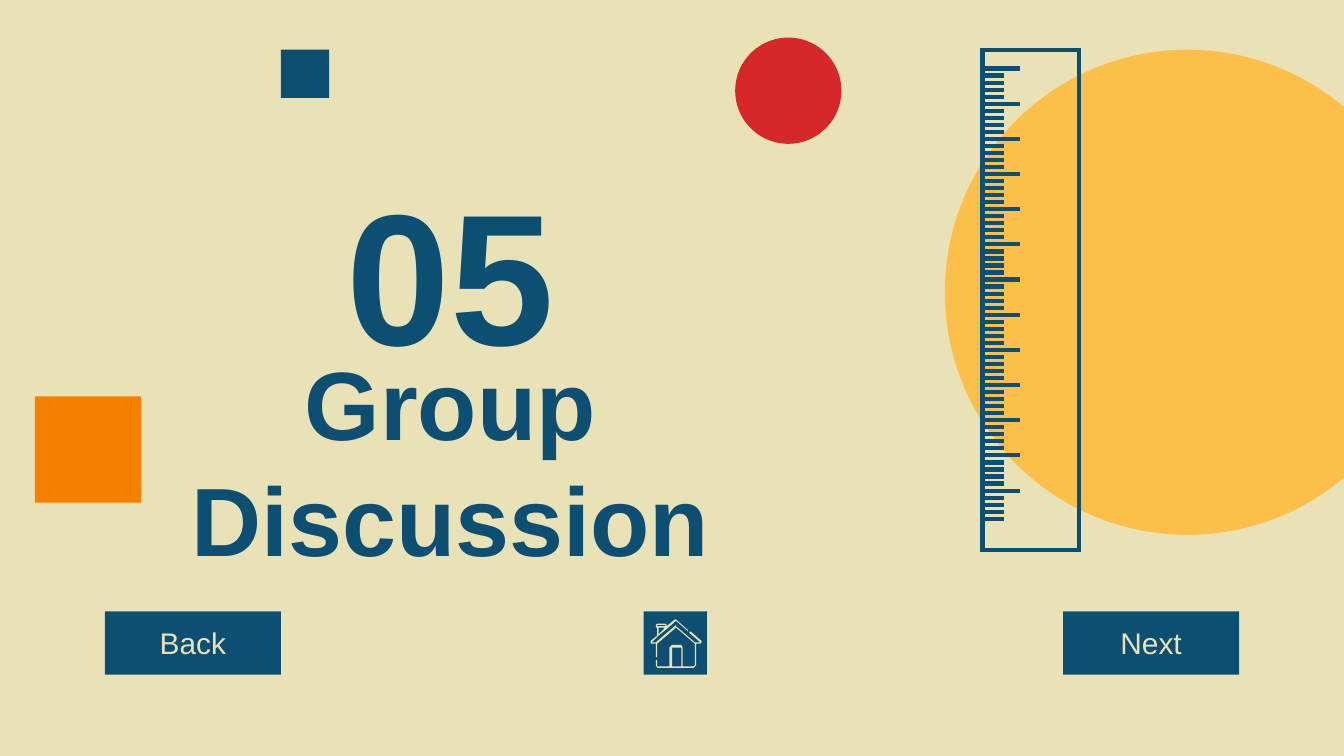
"""Build the section slide "05 Group Discussion" with a ruler and navigation buttons."""
from lxml import etree
from pptx import Presentation
from pptx.dml.color import RGBColor
from pptx.enum.shapes import MSO_CONNECTOR, MSO_SHAPE
from pptx.enum.text import MSO_ANCHOR, MSO_AUTO_SIZE, PP_ALIGN
from pptx.oxml.ns import qn
from pptx.util import Inches, Pt

RECT, OVAL = MSO_SHAPE.RECTANGLE, MSO_SHAPE.OVAL
STRAIGHT = MSO_CONNECTOR.STRAIGHT
MIDDLE, CENTER, NO_FIT = MSO_ANCHOR.MIDDLE, PP_ALIGN.CENTER, MSO_AUTO_SIZE.NONE
COLORS = {"sand": "EAE2B7", "navy": "0C4F72", "amber": "FCBF49",
          "orange": "F77F00", "red": "D62828"}


def color(name):
    return RGBColor.from_string(COLORS[name])


def write(shape, text, size, name, bold):
    tf = shape.text_frame
    margins = {f"margin_{side}": Inches(0.1) for side in ("left", "top", "right", "bottom")}
    frame = {"word_wrap": True, "auto_size": NO_FIT, "vertical_anchor": MIDDLE, **margins}
    for key, value in frame.items():
        setattr(tf, key, value)
    p = tf.paragraphs[0]
    for key, value in {"alignment": CENTER, "space_before": Pt(0), "line_spacing": 1.0}.items():
        setattr(p, key, value)
    r = p.add_run()
    r.text = text
    for key, value in {"name": "Arial", "size": Pt(size), "bold": bold}.items():
        setattr(r.font, key, value)
    r.font.color.rgb = color(name)


prs = Presentation()
prs.slide_width, prs.slide_height = Inches(10), Inches(10 * 9 / 16)
s = prs.slides.add_slide(prs.slide_layouts[0])
s.background.fill.solid()
s.background.fill.fore_color.rgb = color("sand")

headings = [
    (s.shapes.title, "Group Discussion", 52, (0.94, 2.7, 4.82, 1.44)),
    (s.placeholders[1], "05", 100, (1.23, 1.41, 4.24, 1.21)),
]
for sp, text, size, box in headings:
    sp.left, sp.top, sp.width, sp.height = map(Inches, box)
    write(sp, text, size, "navy", True)

sun = s.shapes.add_shape(OVAL, *map(Inches, (7.03, 0.37, 3.61, 3.61)))
sun.shadow.inherit = False
sun.fill.solid()
sun.fill.fore_color.rgb = color("amber")
sun.line.fill.background()

ruler = s.shapes.add_group_shape()
body = ruler.shapes.add_shape(RECT, *map(Inches, (7.31, 0.37, 0.72, 3.72)))
body.shadow.inherit = False
body.fill.background()
body.line.color.rgb = color("navy")
body.line.width = Pt(2.25)
etree.SubElement(body.line._get_or_add_ln(), qn("a:miter"), lim="800000")
for i in range(65):
    y = 0.51 + 3.35 * i / 64
    length = 0.15 if i % 5 else 0.27
    tick = ruler.shapes.add_connector(STRAIGHT, *map(Inches, (7.32, y, 7.32 + length, y)))
    tick.line.color.rgb = color("navy")
    tick.line.width = Pt(2.25)
    etree.SubElement(tick._element.spPr, qn("a:effectLst"))

blocks = [
    (RECT, (0.26, 2.95, 0.79, 0.79), "orange", ""),
    (OVAL, (5.47, 0.28, 0.79, 0.79), "red", ""),
    (RECT, (2.09, 0.37, 0.36, 0.36), "navy", ""),
    (RECT, (0.78, 4.55, 1.31, 0.47), "navy", "Back"),
    (RECT, (4.79, 4.55, 0.47, 0.47), "navy", ""),
    (RECT, (7.91, 4.55, 1.31, 0.47), "navy", "Next"),
]
for kind, box, fill, text in blocks:
    sp = s.shapes.add_shape(kind, *map(Inches, box))
    sp.shadow.inherit = False
    sp.fill.solid()
    sp.fill.fore_color.rgb = color(fill)
    sp.line.fill.background()
    if text:
        write(sp, text, 16, "sand", False)

chimney_cap = [(495, 465), (495, 466), (489, 466), (489, 465)]
chimney = [(494, 467), (494, 468), (490, 472), (490, 467)]
door = [(507, 482), (507, 496), (500, 496), (500, 482)]
house = [
    (503, 461), (502, 461), (496, 466), (496, 465), (495, 464), (489, 464), (488, 465),
    (488, 467), (489, 467), (489, 473), (484, 477), (484, 479), (488, 479), (488, 489),
    (489, 489), (489, 479), (503, 467), (517, 479), (517, 495), (516, 496), (508, 496),
    (508, 482), (507, 480), (500, 480), (498, 482), (498, 496), (489, 496), (489, 491),
    (488, 491), (488, 495), (489, 497), (516, 497), (518, 495), (518, 479), (521, 479),
    (522, 478), (522, 477), (514, 470), (513, 470), (513, 471), (521, 478), (517, 478),
    (503, 466), (503, 465), (502, 466), (488, 478), (485, 478), (490, 473), (495, 469),
    (503, 462), (511, 469), (512, 470), (512, 469),
]
pen = s.shapes.build_freeform(*house[0], scale=Inches(0.01))
pen.add_line_segments(house[1:], close=True)
for outline in (chimney_cap, chimney, door):
    pen.move_to(*outline[0])
    pen.add_line_segments(outline[1:], close=True)
home = pen.convert_to_shape()
home.shadow.inherit = False
home.fill.solid()
home.fill.fore_color.rgb = color("sand")
home.line.fill.background()

prs.save("out.pptx")
